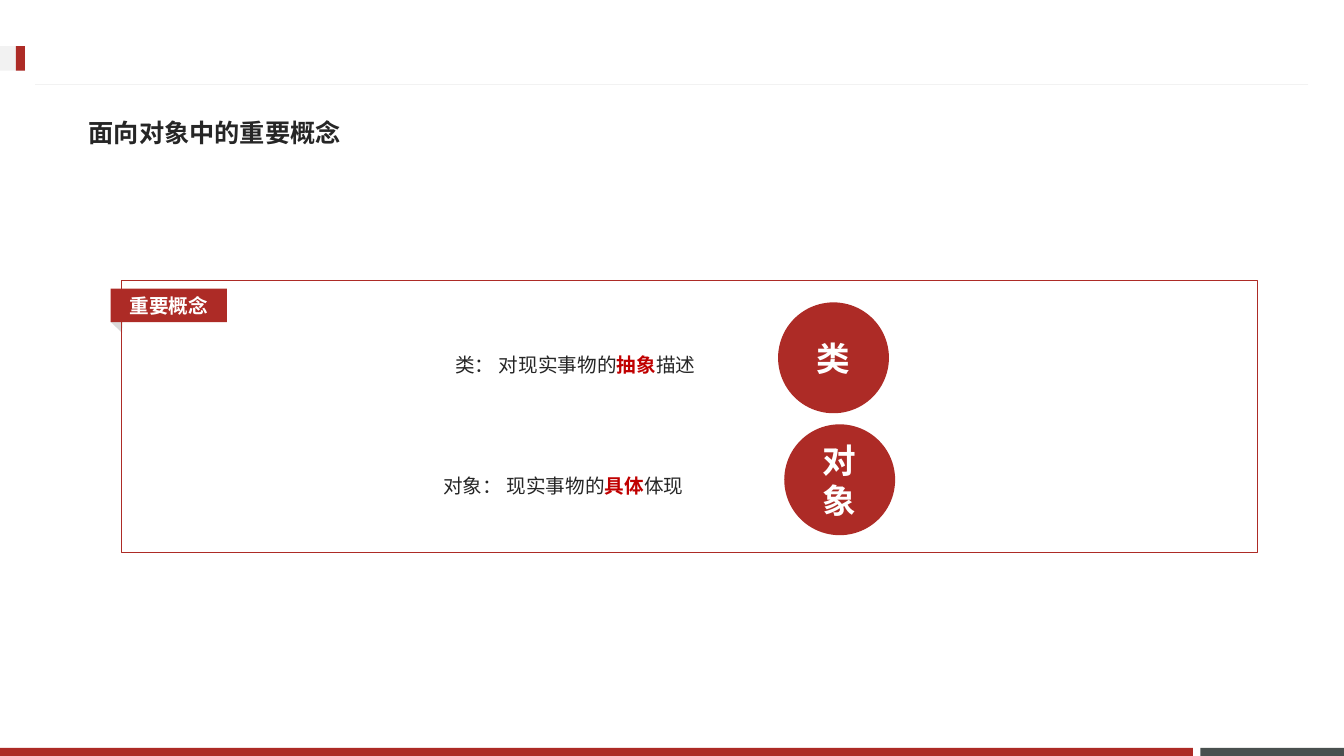
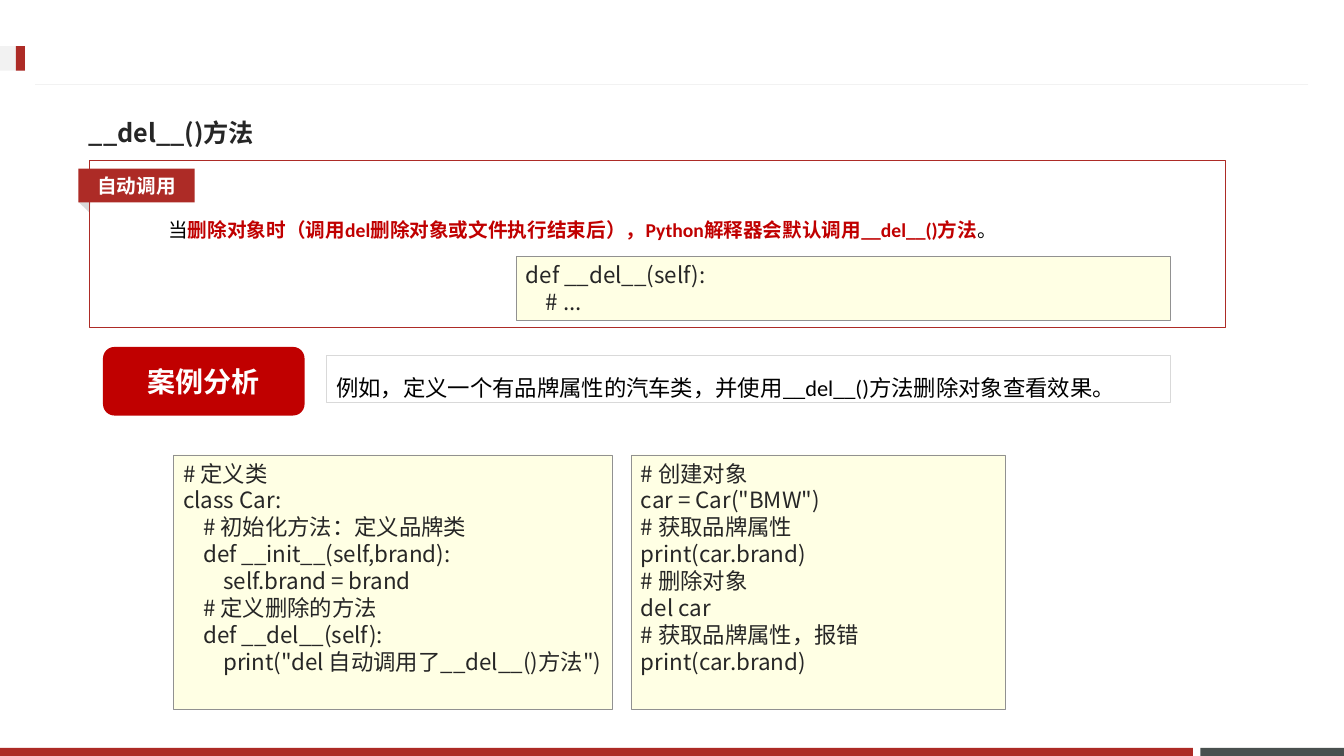
"""Build two slides on classes, objects and the __del__() method."""
from collections import namedtuple

from lxml.etree import SubElement
from pptx import Presentation
from pptx.dml.color import RGBColor
from pptx.enum.shapes import MSO_CONNECTOR, MSO_SHAPE
from pptx.enum.text import MSO_ANCHOR, PP_ALIGN
from pptx.oxml.ns import qn
from pptx.util import Pt

COLORS = {
    "brand": "AD2B26", "accent": "C00000", "slate": "49504F", "rule": "F2F2F2",
    "fold": "D9D9D9", "code": "FFFFE4", "edge": "919191", "ink": "262626",
    "black": "000000", "white": "FFFFFF",
}
HEADING_FONT = "Noto Sans CJK JP"
LABEL_FONT = "Roboto"
TEXT_FONT = "Calibri"

Box = namedtuple("Box", "left top width height")
Style = namedtuple("Style", "font size color bold", defaults=(False,))

TITLE_BOX = Box(56.2, 74.2, 842.4, 41)
TITLE = Style(HEADING_FONT, 18, "ink", True)
CODE = Style(HEADING_FONT, 16, "ink")
LABEL = Style(LABEL_FONT, 14, "white", True)

CLASS_CODE = """# 定义类
class Car:
    # 初始化方法：定义品牌类
    def __init__(self,brand):
        self.brand = brand
    # 定义删除的方法
    def __del__(self):
        print("del 自动调用了__del__()方法")"""

OBJECT_CODE = """# 创建对象
car = Car("BMW")
# 获取品牌属性
print(car.brand)
# 删除对象
del car
# 获取品牌属性，报错
print(car.brand)"""

DEL_CODE = """def __del__(self):
    # ..."""


def rgb(name):
    return RGBColor.from_string(COLORS[name])


def points(box):
    return [Pt(value) for value in box]


def add_span(para, text, style):
    span = para.add_run()
    span.text = text
    span.font.name = style.font
    span.font.size = Pt(style.size)
    span.font.bold = style.bold
    span.font.color.rgb = rgb(style.color)


def write(shape, paragraphs, align=PP_ALIGN.LEFT, anchor=MSO_ANCHOR.TOP, spacing=None):
    frame = shape.text_frame
    frame.word_wrap = True
    frame.vertical_anchor = anchor
    for index, spans in enumerate(paragraphs):
        para = frame.add_paragraph() if index else frame.paragraphs[0]
        para.alignment = align
        if spacing:
            para.line_spacing = spacing
        for text, style in spans:
            add_span(para, text, style)


def add_block(page, kind, box, fill=None, line=None, weight=0.75):
    shape = page.shapes.add_shape(kind, *points(box))
    shape.shadow.inherit = False
    if fill:
        shape.fill.solid()
        shape.fill.fore_color.rgb = rgb(fill)
    else:
        shape.fill.background()
    if line:
        shape.line.color.rgb = rgb(line)
        shape.line.width = Pt(weight)
    else:
        shape.line.fill.background()
    return shape


def add_badge(page, kind, box, fill, text, style):
    badge = add_block(page, kind, box, fill)
    write(badge, [[(text, style)]], PP_ALIGN.CENTER, MSO_ANCHOR.MIDDLE)


def add_sentence(page, box, spans):
    sentence = page.shapes.add_textbox(*points(box))
    write(sentence, [spans], spacing=1.5)


def add_code(page, box, code):
    panel = add_block(page, MSO_SHAPE.RECTANGLE, box, "code", "edge", 0.25)
    write(panel, [[(line, CODE)] for line in code.split("\n")])


def add_labelled_frame(page, box, label):
    fold = add_block(page, MSO_SHAPE.ISOSCELES_TRIANGLE,
                     Box(box.left - 7.5, box.top + 28, 11.5, 6.5), "fold")
    fold.rotation = 44.2
    add_block(page, MSO_SHAPE.RECTANGLE, box, line="brand")
    add_badge(page, MSO_SHAPE.RECTANGLE, Box(box.left - 8, box.top + 6, 83, 24),
              "brand", label, LABEL)


def add_concept(page, box, name, spans):
    add_sentence(page, Box(box.left, box.top + 23.8, 221, 30), spans)
    circle = Box(box.left + box.width - box.height, box.top, box.height, box.height)
    add_badge(page, MSO_SHAPE.OVAL, circle, "brand", name,
              Style(LABEL_FONT, 24, "white", True))


def add_case(page, box, label, sentence):
    add_badge(page, MSO_SHAPE.ROUNDED_RECTANGLE, Box(box.left, box.top, 144, box.height),
              "accent", label, Style(TEXT_FONT, 20, "white", True))
    panel = add_block(page, MSO_SHAPE.RECTANGLE,
                      Box(box.left + 159.5, box.top + 6, box.width - 159.5, 34), line="fold")
    write(panel, [[(sentence, Style(TEXT_FONT, 16, "black"))]], spacing=1.5)


def decorate_layout(deck, layout):
    page = deck.slides.add_slide(layout)
    bars = [
        (Box(857.5, 534.2, 102.5, 5.8), "slate"),
        (Box(0, 534.2, 852, 5.8), "brand"),
        (Box(0, 33, 18, 17.5), "rule"),
        (Box(11.3, 33, 6.5, 17.5), "brand"),
    ]
    parts = [add_block(page, MSO_SHAPE.RECTANGLE, box, fill) for box, fill in bars]
    rule = page.shapes.add_connector(MSO_CONNECTOR.STRAIGHT, Pt(934.5), Pt(60.5), Pt(25.2), Pt(60.5))
    rule.line.color.rgb = rgb("rule")
    rule.line.width = Pt(0.75)
    SubElement(rule.element.spPr, qn("a:effectLst"))
    for number, part in enumerate(parts + [rule]):
        part.element.xpath(".//p:cNvPr")[0].set("id", str(100 + number))
        layout.shapes.element.insert(2 + number, part.element)
    title = layout.placeholders[0]
    title.left, title.top, title.width, title.height = points(TITLE_BOX)
    return page


def set_title(page, text):
    write(page.shapes.title, [[(text, TITLE)]], anchor=MSO_ANCHOR.MIDDLE)


def fill_concepts(page):
    set_title(page, "面向对象中的重要概念")
    box = Box(87.1, 200.2, 811.4, 194.4)
    add_labelled_frame(page, box, "重要概念")
    plain = Style(LABEL_FONT, 14, "ink")
    strong = Style(LABEL_FONT, 14, "accent", True)
    add_concept(page, Box(box.left + 231.1, box.top + 15.8, 316.8, 79.2), "类",
                [("类： 对现实事物的", plain), ("抽象", strong), ("描述", plain)])
    add_concept(page, Box(box.left + 222.5, box.top + 102.9, 329.8, 79.2), "对象",
                [("对象： 现实事物的", plain), ("具体", strong), ("体现", plain)])


def fill_del_method(page):
    set_title(page, "__del__()方法")
    box = Box(64.1, 114.5, 811.4, 119.5)
    add_labelled_frame(page, box, "自动调用")
    plain = Style(TEXT_FONT, 14, "black")
    strong = Style(TEXT_FONT, 14, "accent", True)
    add_sentence(page, Box(box.left + 49, box.top + 29.5, 713, 32.4), [
        ("当", plain),
        ("删除对象时（调用del删除对象或文件执行结束后），Python解释器会默认调用__del__()方法", strong),
        ("。", plain),
    ])
    add_code(page, Box(box.left + 304.5, box.top + 68.4, 467.3, 46), DEL_CODE)
    add_case(page, Box(73.6, 247.8, 762.3, 49), "案例分析",
             "例如，定义一个有品牌属性的汽车类，并使用__del__()方法删除对象查看效果。")
    add_code(page, Box(123.8, 324.8, 313.2, 181.9), CLASS_CODE)
    add_code(page, Box(450.7, 324.8, 267.4, 181.9), OBJECT_CODE)


def main():
    deck = Presentation()
    deck.slide_width, deck.slide_height = Pt(960), Pt(540)
    layout = deck.slide_layouts[5]
    fill_concepts(decorate_layout(deck, layout))
    fill_del_method(deck.slides.add_slide(layout))
    deck.save("out.pptx")


if __name__ == "__main__":
    main()
